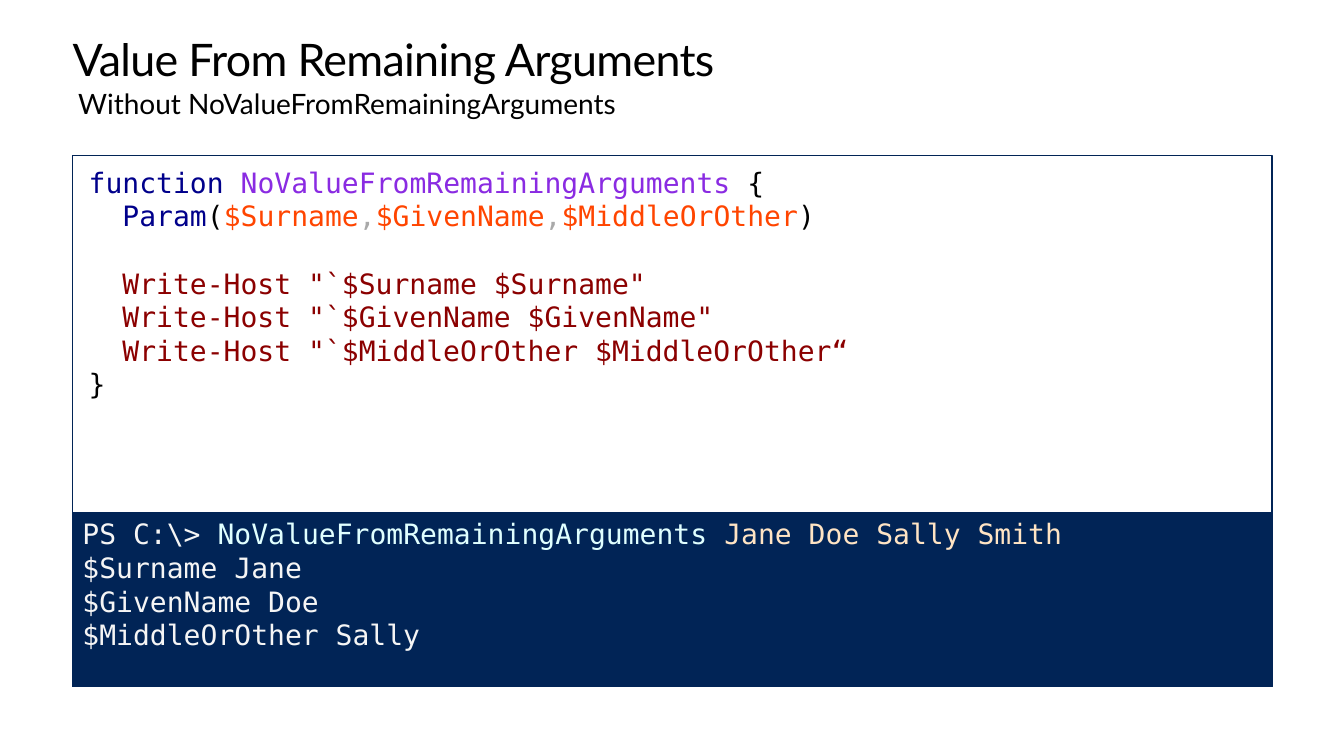
from pptx import Presentation
from pptx.dml.color import RGBColor
from pptx.enum.shapes import MSO_SHAPE
from pptx.enum.text import MSO_ANCHOR, PP_ALIGN
from pptx.util import Pt

RECTANGLE = MSO_SHAPE.RECTANGLE
TOP = MSO_ANCHOR.TOP
LEFT_ALIGN = PP_ALIGN.LEFT

BLACK = RGBColor(0x00, 0x00, 0x00)
CONSOLE_BLUE = RGBColor(0x01, 0x24, 0x56)
KEYWORD = RGBColor(0x00, 0x00, 0x8B)
FUNCTION_NAME = RGBColor(0x8A, 0x2B, 0xE2)
VARIABLE = RGBColor(0xFF, 0x45, 0x00)
OPERATOR = RGBColor(0xA9, 0xA9, 0xA9)
STRING = RGBColor(0x8B, 0x00, 0x00)
OUTPUT = RGBColor(0xF5, 0xF5, 0xF5)
COMMAND = RGBColor(0xE0, 0xFF, 0xFF)
ARGUMENT = RGBColor(0xFF, 0xE4, 0xC4)

HEADING_FONT = "Lato"
CODE_FONT = "DejaVu Sans Mono"
TEXT_SIZE = 20
CODE_LINE_HEIGHT = 24

TITLE = "Value From Remaining Arguments"
SUBTITLE = "Without NoValueFromRemainingArguments"

# Each block is a list of lines; each line is a list of (text, colour).
DECLARATION = [
    [("function ", KEYWORD), ("NoValueFromRemainingArguments", FUNCTION_NAME), (" {", BLACK)],
    [("  Param", KEYWORD), ("(", BLACK), ("$Surname", VARIABLE), (",", OPERATOR),
     ("$GivenName", VARIABLE), (",", OPERATOR), ("$MiddleOrOther", VARIABLE), (")", BLACK)],
]
BODY = [
    [("  Write-Host \"`$Surname $Surname\"", STRING)],
    [("  Write-Host \"`$GivenName $GivenName\"", STRING)],
    [("  Write-Host \"`$MiddleOrOther $MiddleOrOther“", STRING)],
    [("}", BLACK)],
]
CONSOLE = [
    [("PS C:\\> ", OUTPUT), ("NoValueFromRemainingArguments ", COMMAND),
     ("Jane Doe Sally Smith", ARGUMENT)],
    [("$Surname Jane", OUTPUT)],
    [("$GivenName Doe", OUTPUT)],
    [("$MiddleOrOther Sally", OUTPUT)],
]

SLIDE_WIDTH, SLIDE_HEIGHT = 960, 540
LEFT, WIDTH = 51.84, 856.8
TITLE_TOP, SUBTITLE_TOP, HEADING_HEIGHT = 25.2, 61.92, 36
PANEL_TOP, CONSOLE_TOP, PANEL_BOTTOM = 110.88, 365.76, 490.32


def set_margins(frame, horizontal, vertical):
    frame.margin_left = frame.margin_right = Pt(horizontal)
    frame.margin_top = frame.margin_bottom = Pt(vertical)
    frame.vertical_anchor = TOP
    frame.word_wrap = True


def add_heading(slide, text, top, size):
    box = slide.shapes.add_textbox(Pt(LEFT), Pt(top), Pt(WIDTH), Pt(HEADING_HEIGHT))
    set_margins(box.text_frame, 0, 0)
    paragraph = box.text_frame.paragraphs[0]
    paragraph.text = text
    paragraph.font.name = HEADING_FONT
    paragraph.font.size = Pt(size)
    paragraph.font.color.rgb = BLACK
    return box.text_frame


def add_panel(slide, top, fill, margins, blocks):
    """Draw a panel down to the shared bottom edge, with one empty line between code blocks."""
    panel = slide.shapes.add_shape(
        RECTANGLE, Pt(LEFT), Pt(top), Pt(WIDTH), Pt(PANEL_BOTTOM - top))
    panel.shadow.inherit = False
    if fill is None:
        panel.fill.background()
    else:
        panel.fill.solid()
        panel.fill.fore_color.rgb = fill
    panel.line.color.rgb = CONSOLE_BLUE
    panel.line.width = Pt(0.75)

    frame = panel.text_frame
    set_margins(frame, *margins)
    paragraph = frame.paragraphs[0]
    for block_index, block in enumerate(blocks):
        for line_index, line in enumerate(block):
            if block_index or line_index:
                paragraph = frame.add_paragraph()
            if block_index and not line_index:
                paragraph.space_before = Pt(CODE_LINE_HEIGHT)
            paragraph.alignment = LEFT_ALIGN
            paragraph.font.name = CODE_FONT
            paragraph.font.size = Pt(TEXT_SIZE)
            for text, color in line:
                run = paragraph.add_run()
                run.text = text
                run.font.color.rgb = color


def main():
    presentation = Presentation()
    presentation.slide_width = Pt(SLIDE_WIDTH)
    presentation.slide_height = Pt(SLIDE_HEIGHT)
    slide = presentation.slides.add_slide(presentation.slide_layouts[6])

    title_paragraph = add_heading(slide, TITLE, TITLE_TOP, 32).paragraphs[0]
    title_paragraph.line_spacing = Pt(36.2)
    title_paragraph.runs[0].font._element.set("spc", "-50")
    add_heading(slide, SUBTITLE, SUBTITLE_TOP, TEXT_SIZE).margin_left = Pt(4)

    add_panel(slide, CONSOLE_TOP, CONSOLE_BLUE, (7.2, 3.6), [CONSOLE])
    add_panel(slide, PANEL_TOP, None, (11.52, 7.2), [DECLARATION, BODY])
    presentation.save("out.pptx")


if __name__ == "__main__":
    main()
